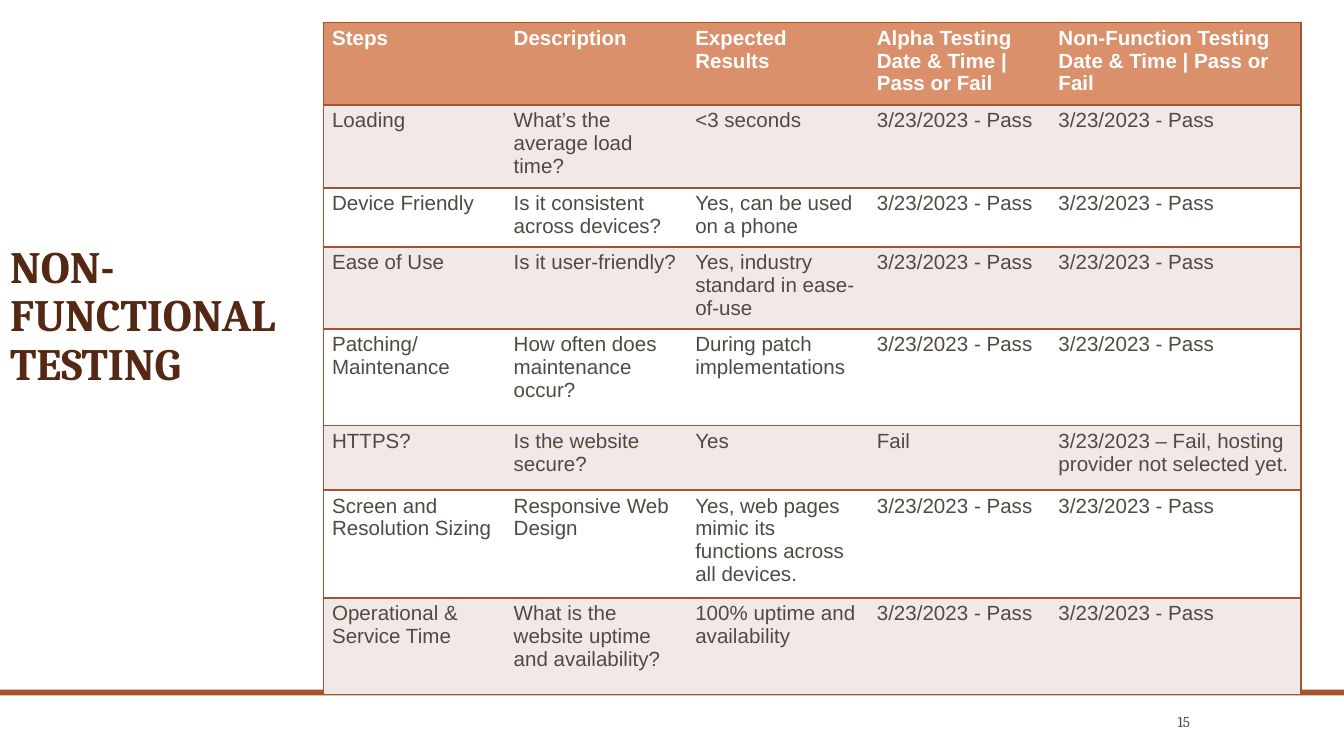
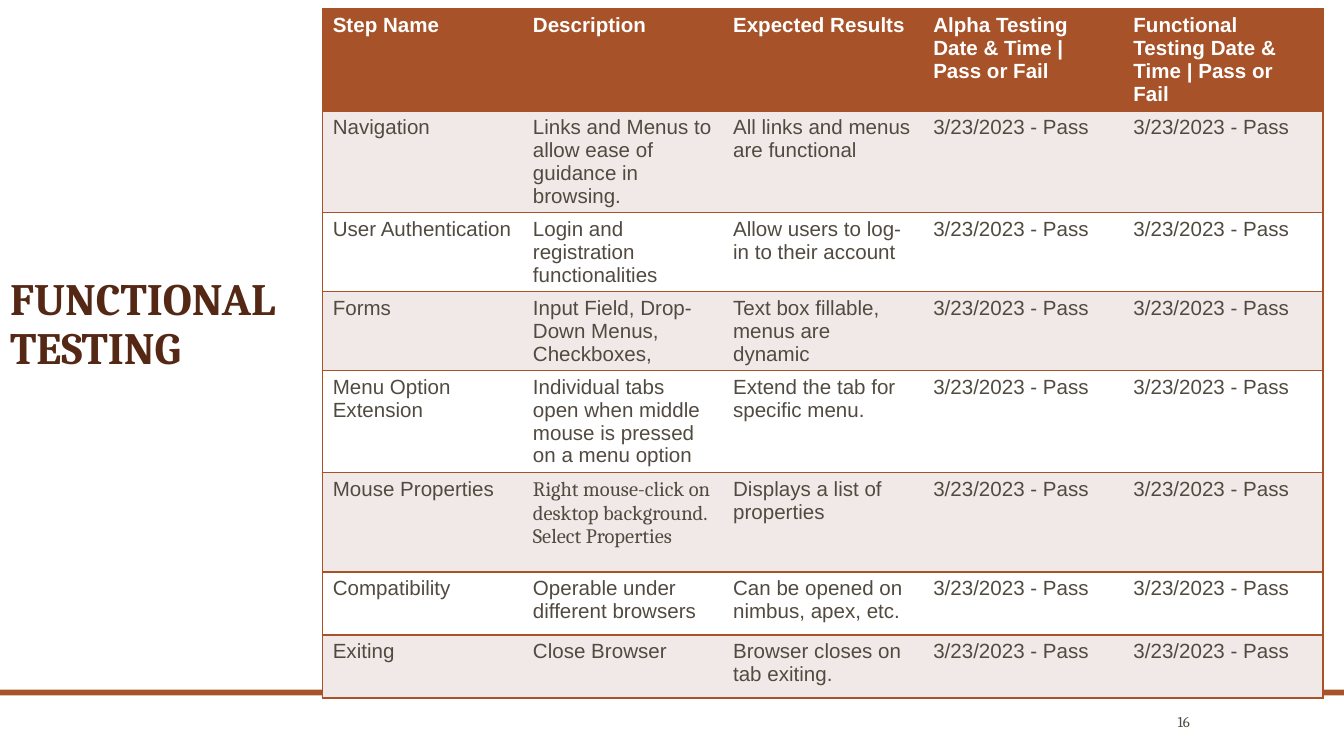
from lxml import etree
from pptx import Presentation
from pptx.dml.color import RGBColor
from pptx.enum import shapes, text
from pptx.oxml import ns
from pptx.util import Pt

RUST, PEACH, BLUSH, WHITE = "A85229", "DB906C", "F1E9E7", "FFFFFF"
TITLE_BROWN, BODY_GREY = "542814", "514A40"
HEADING_FONT, BODY_FONT = "Cambria", "Arial"
NO_STYLE = "{2D5ABB26-0587-4C30-8999-92F81FD0307C}"
PASS = "3/23/2023 - Pass"

NON_FUNCTIONAL = [
    ("Steps", "Description", "Expected Results",
     "Alpha Testing Date & Time | Pass or Fail",
     "Non-Function Testing Date & Time | Pass or Fail"),
    ("Loading", "What’s the average load time?", "<3 seconds", PASS, PASS),
    ("Device Friendly", "Is it consistent across devices?",
     "Yes, can be used on a phone", PASS, PASS),
    ("Ease of Use", "Is it user-friendly?",
     "Yes, industry standard in ease-of-use", PASS, PASS),
    ("Patching/Maintenance", "How often does maintenance occur?",
     "During patch implementations", PASS, PASS),
    ("HTTPS?", "Is the website secure?", "Yes", "Fail",
     "3/23/2023 – Fail, hosting provider not selected yet."),
    ("Screen and Resolution Sizing", "Responsive Web Design",
     "Yes, web pages mimic its functions across all devices.", PASS, PASS),
    ("Operational & Service Time", "What is the website uptime and availability?",
     "100% uptime and availability", PASS, PASS),
]
FUNCTIONAL = [
    ("Step Name", "Description", "Expected Results",
     "Alpha Testing Date & Time | Pass or Fail",
     "Functional Testing Date & Time | Pass or Fail"),
    ("Navigation", "Links and Menus to allow ease of guidance in browsing.",
     "All links and menus are functional", PASS, PASS),
    ("User Authentication", "Login and registration functionalities",
     "Allow users to log-in to their account", PASS, PASS),
    ("Forms", "Input Field, Drop-Down Menus, Checkboxes,",
     "Text box fillable, menus are dynamic", PASS, PASS),
    ("Menu Option Extension",
     "Individual tabs open when middle mouse is pressed on a menu option",
     "Extend the tab for specific menu.", PASS, PASS),
    ("Mouse Properties", "Right mouse-click on desktop background. Select Properties",
     "Displays a list of properties", PASS, PASS),
    ("Compatibility", "Operable under different browsers",
     "Can be opened on nimbus, apex, etc.", PASS, PASS),
    ("Exiting", "Close Browser", "Browser closes on tab exiting.", PASS, PASS),
]


def rgb(value):
    return RGBColor.from_string(value)


def set_font(paragraph, name, size, color, bold=False):
    font = paragraph.font
    font.name, font.size, font.bold = name, Pt(size), bold
    font.color.rgb = rgb(color)


def set_frame(frame, anchor):
    frame.word_wrap = True
    frame.auto_size = text.MSO_AUTO_SIZE.NONE
    frame.vertical_anchor = anchor
    frame.margin_left = frame.margin_right = Pt(5.4)
    frame.margin_top = frame.margin_bottom = Pt(2.7)


def add_footer(slide, number):
    # Rule across the slide
    rule = slide.shapes.add_shape(shapes.MSO_SHAPE.RECTANGLE,
                                  Pt(0), Pt(369.4), Pt(720), Pt(3.1))
    rule.shadow.inherit = False
    rule.fill.solid()
    rule.fill.fore_color.rgb = rgb(RUST)
    rule.line.fill.background()
    # Slide number
    box = slide.shapes.add_textbox(Pt(602), Pt(379.4), Pt(41), Pt(14.4))
    set_frame(box.text_frame, text.MSO_ANCHOR.MIDDLE)
    paragraph = box.text_frame.paragraphs[0]
    paragraph.text = str(number)
    paragraph.alignment = text.PP_ALIGN.RIGHT
    set_font(paragraph, HEADING_FONT, 8, BODY_GREY)


def set_title(slide, wording, box):
    title = slide.shapes.title
    title.left, title.top, title.width, title.height = map(Pt, box)
    set_frame(title.text_frame, text.MSO_ANCHOR.BOTTOM)
    paragraph = title.text_frame.paragraphs[0]
    paragraph.text = wording
    paragraph.alignment = text.PP_ALIGN.LEFT
    paragraph.line_spacing = 0.9
    set_font(paragraph, HEADING_FONT, 24, TITLE_BROWN, True)


def set_borders(cell, sides):
    properties = cell._tc.get_or_add_tcPr()
    for position, side in enumerate(sides):
        line = etree.Element(ns.qn(f"a:ln{side}"), w=str(Pt(1)))
        fill = etree.SubElement(line, ns.qn("a:solidFill"))
        etree.SubElement(fill, ns.qn("a:srgbClr"), val=RUST)
        properties.insert(position, line)


def add_test_table(slide, rows, position, widths, heights, margins,
                   header_fill, serif_cells=()):
    left, top = position
    table = slide.shapes.add_table(
        len(rows), len(widths), Pt(left), Pt(top),
        Pt(sum(widths)), Pt(sum(heights))).table
    table._tbl.tblPr.find(ns.qn("a:tableStyleId")).text = NO_STYLE
    for column, width in zip(table.columns, widths):
        column.width = Pt(width)
    for row, height in zip(table.rows, heights):
        row.height = Pt(height)

    last = len(widths) - 1
    for i, row in enumerate(rows):
        row_fill = header_fill if i == 0 else BLUSH if i % 2 else WHITE
        for j, wording in enumerate(row):
            cell = table.cell(i, j)
            cell.margin_left = cell.margin_right = Pt(margins[0])
            cell.margin_top = cell.margin_bottom = Pt(margins[1])
            cell.fill.solid()
            cell.fill.fore_color.rgb = rgb(row_fill)
            set_borders(cell, {0: "LTB", last: "RTB"}.get(j, "TB"))
            paragraph = cell.text_frame.paragraphs[0]
            paragraph.text = wording
            name = HEADING_FONT if (i, j) in serif_cells else BODY_FONT
            set_font(paragraph, name, 11, BODY_GREY if i else WHITE, i == 0)


def add_test_slide(presentation, number, title, title_box, **table):
    slide = presentation.slides.add_slide(presentation.slide_layouts[5])
    add_footer(slide, number)
    set_title(slide, title, title_box)
    add_test_table(slide, **table)


def main():
    presentation = Presentation()
    presentation.slide_width, presentation.slide_height = Pt(720), Pt(405)
    add_test_slide(
        presentation, 15, "NON-FUNCTIONAL TESTING", (0, 5, 163.4, 206.6),
        rows=NON_FUNCTIONAL, position=(173.3, 12),
        widths=[97.3] * 4 + [134.6],
        heights=[44.2, 44.4, 31.7, 44, 51.8, 34.6, 57.6, 51.8],
        margins=(4.6, 2.3), header_fill=PEACH)
    add_test_slide(
        presentation, 16, "FUNCTIONAL TESTING", (0, 122.4, 157.7, 80.6),
        rows=FUNCTIONAL, position=(172.7, 4.8),
        widths=[107.25] * 5,
        heights=[41, 53.3, 41, 41, 53.3, 53.3, 33.8, 33.8],
        margins=(5.6, 2.8), header_fill=RUST, serif_cells={(5, 1)})
    presentation.save("out.pptx")


if __name__ == "__main__":
    main()
